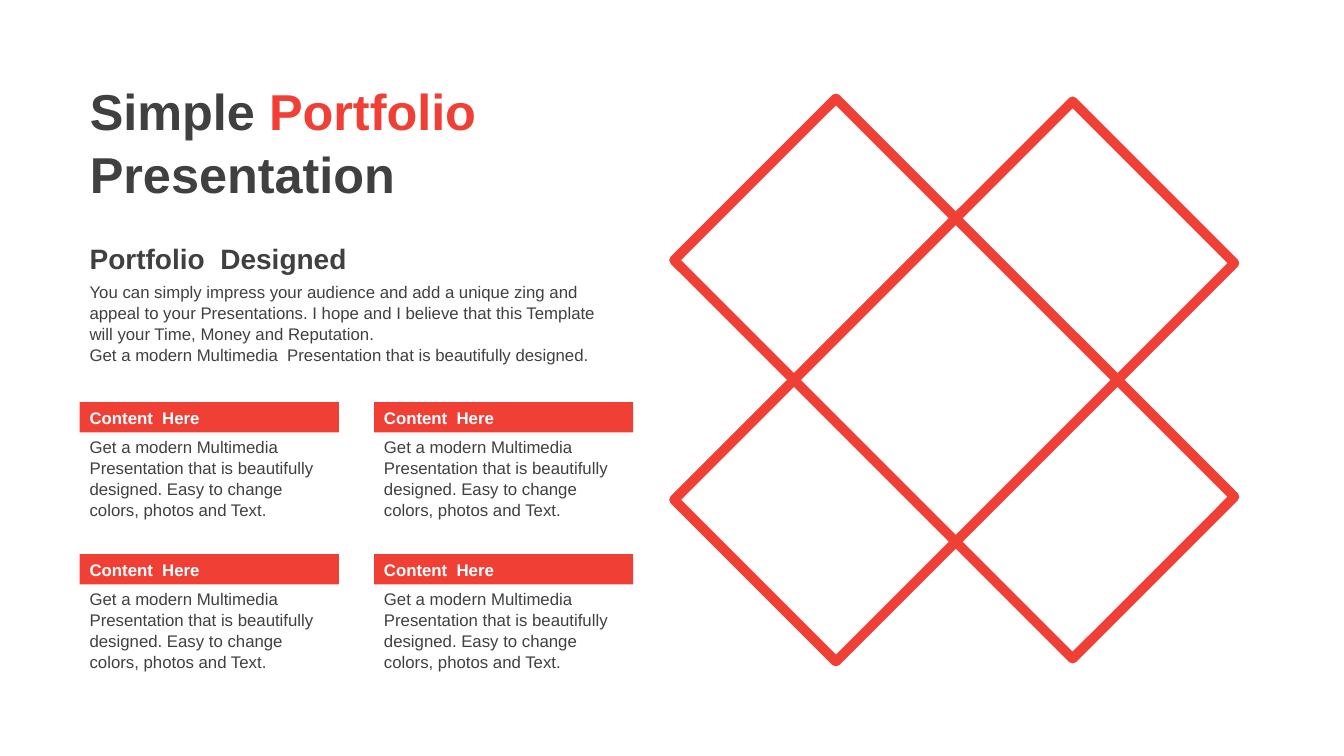
from dataclasses import dataclass
from itertools import product
from typing import Any

from pptx import Presentation
from pptx.dml.color import RGBColor
from pptx.enum.shapes import MSO_SHAPE
from pptx.enum.text import MSO_ANCHOR, PP_ALIGN
from pptx.util import Inches, Pt

WIDE, HIGH = 13.33, 7.5
RED, GRAY, WHITE = "F04036", "404040", "FFFFFF"
LEFT = 5.93
BODY = "Get a modern Multimedia  Presentation that is beautifully designed."


@dataclass(frozen=True)
class Box:
    """Place and size in hundredths of the slide's width and height."""
    x: float
    y: float
    w: float
    h: float

    def emu(self) -> tuple[int, int, int, int]:
        return (Inches(self.x * WIDE / 100), Inches(self.y * HIGH / 100),
                Inches(self.w * WIDE / 100), Inches(self.h * HIGH / 100))


@dataclass(frozen=True)
class Frame:
    box: Box
    turn: int


@dataclass(frozen=True)
class Card:
    col: int
    row: int
    head: str = "Content  Here"
    text: str = BODY + " Easy to change colors, photos and Text."


def color(code: str) -> RGBColor:
    return RGBColor.from_string(code)


def write(shape: Any, lines: list[list[tuple[str, str]]], *, size: int = 12,
          bold: bool = False, space: float = 1.04,
          anchor: MSO_ANCHOR = MSO_ANCHOR.TOP) -> None:
    """Fill a shape with lines of (text, color) runs."""
    frame = shape.text_frame
    frame.word_wrap = True
    frame.vertical_anchor = anchor
    frame.margin_left = frame.margin_right = Inches(0.1)
    frame.margin_top = frame.margin_bottom = Inches(0.05)
    for i, line in enumerate(lines):
        para = frame.add_paragraph() if i else frame.paragraphs[0]
        para.alignment = PP_ALIGN.LEFT
        para.line_spacing = space
        para.space_before = Pt(0)
        for text, code in line:
            run = para.add_run()
            run.text = text
            run.font.name = "Arial"
            run.font.size = Pt(size)
            run.font.bold = bold
            run.font.color.rgb = color(code)


def label(slide: Any, box: Box, lines: list[str], **form: Any) -> None:
    shape = slide.shapes.add_textbox(*box.emu())
    write(shape, [[(line, GRAY)] for line in lines], **form)


def block(slide: Any, box: Box) -> Any:
    shape = slide.shapes.add_shape(MSO_SHAPE.RECTANGLE, *box.emu())
    shape.shadow.inherit = False
    return shape


def draw_frame(slide: Any, item: Frame) -> None:
    shape = block(slide, item.box)
    shape.rotation = item.turn
    shape.fill.background()
    shape.line.color.rgb = color(RED)
    shape.line.width = Pt(7)


def draw_card(slide: Any, card: Card) -> None:
    x, y = LEFT + 21.9 * card.col, 53.2 + 20.1 * card.row
    bar = block(slide, Box(x, y, 19.28, 4))
    bar.fill.solid()
    bar.fill.fore_color.rgb = color(RED)
    bar.line.fill.background()
    write(bar, [[(card.head, WHITE)]], bold=True, anchor=MSO_ANCHOR.MIDDLE)
    label(slide, Box(x, y + 3.8, 19.28, 12.13), [card.text])


def main() -> None:
    deck = Presentation()
    deck.slide_width, deck.slide_height = Inches(WIDE), Inches(HIGH)
    slide = deck.slides.add_slide(deck.slide_layouts[5])

    # Crossed frames
    for item in (Frame(Box(62.49, 13.2, 17.03, 74.53), 45),
                 Frame(Box(62.49, 12.8, 17.03, 74.53), 315)):
        draw_frame(slide, item)

    # Title
    title = slide.shapes.title
    title.left, title.top, title.width, title.height = Box(
        LEFT, 9.6, 34.51, 17.47).emu()
    write(title, [[("Simple", GRAY), (" Portfolio", RED)],
                  [("Presentation", GRAY)]], size=36, bold=True)

    # Introduction
    label(slide, Box(LEFT, 31.33, 40.96, 5.2), ["Portfolio  Designed"],
          size=20, bold=True, space=1.1, anchor=MSO_ANCHOR.MIDDLE)
    label(slide, Box(LEFT, 36.53, 40.96, 12.13), [
        "You can simply impress your audience and add a unique zing and "
        "appeal to your Presentations. I hope and I believe that this "
        "Template will your Time, Money and Reputation.", BODY])

    # Content cards
    for row, col in product(range(2), range(2)):
        draw_card(slide, Card(col, row))

    deck.save("out.pptx")


if __name__ == "__main__":
    main()
